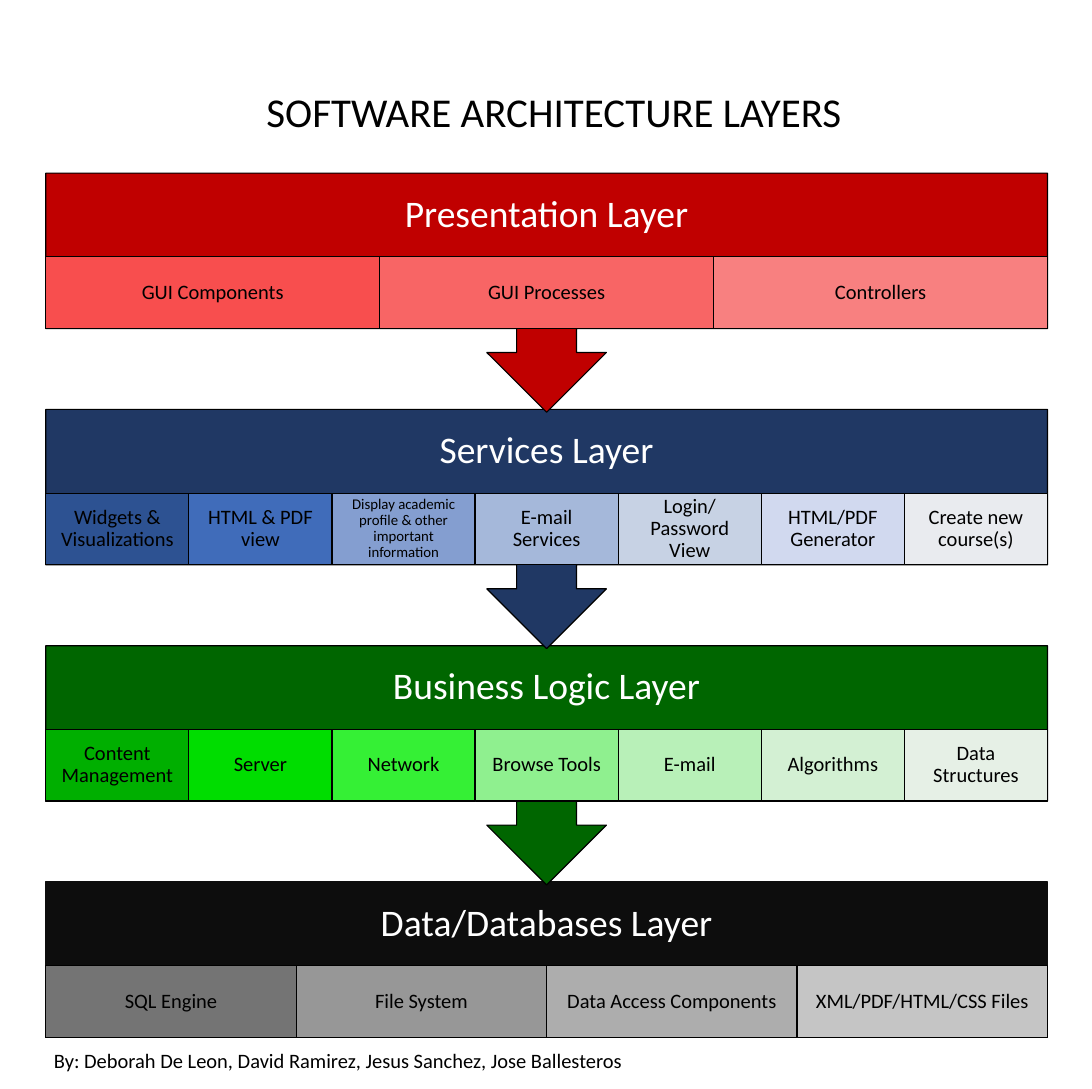
from dataclasses import dataclass

from lxml import etree
from pptx import Presentation
from pptx.dml.color import RGBColor
from pptx.enum.shapes import MSO_SHAPE
from pptx.enum.text import MSO_ANCHOR, MSO_AUTO_SIZE, PP_ALIGN
from pptx.oxml.ns import qn
from pptx.shapes.autoshape import Shape
from pptx.slide import Slide
from pptx.text.text import _Paragraph
from pptx.util import Cm, Pt

RECTANGLE = MSO_SHAPE.RECTANGLE
DOWN_CALLOUT = MSO_SHAPE.DOWN_ARROW_CALLOUT
MIDDLE, TOP = MSO_ANCHOR.MIDDLE, MSO_ANCHOR.TOP
CENTER, LEFT = PP_ALIGN.CENTER, PP_ALIGN.LEFT
FIXED_SIZE = MSO_AUTO_SIZE.NONE

FONT = "Calibri"
BLACK, WHITE = "000000", "FFFFFF"
STACK_LEFT, STACK_TOP, STACK_WIDTH = 1.42, 5.37, 31.06
LAYER_PITCH = 7.33
HEADER_HEIGHT, COMPONENT_HEIGHT = 2.6, 2.22
BLOCK_HEIGHT, CALLOUT_HEIGHT = 4.82, 7.42


@dataclass
class Component:
    label: str
    fill: str
    size: float = 18


@dataclass
class Layer:
    name: str
    fill: str
    components: list[Component]
    leads_down: bool = True
    outline: str = BLACK


LAYERS = [
    Layer("Presentation Layer", "C00000", [
        Component("GUI Components", "FF5757"),
        Component("GUI Processes", "FF7171"),
        Component("Controllers", "FF8F8F"),
    ]),
    Layer("Services Layer", "203864", [
        Component("Widgets & Visualizations", "2F5597"),
        Component("HTML & PDF view", "4472C4"),
        Component("Display academic profile & other important information", "8FAADC", 13),
        Component("E-mail Services", "B4C7E7"),
        Component("Login/Password View", "DAE3F3"),
        Component("HTML/PDF Generator", "E5EBFF"),
        Component("Create new course(s)", "FFFFFF"),
    ]),
    Layer("Business Logic Layer", "006600", [
        Component("Content Management", "00B800"),
        Component("Server", "00EA00"),
        Component("Network", "3BFF3B"),
        Component("Browse Tools", "9FFF9F"),
        Component("E-mail", "CDFFCD"),
        Component("Algorithms", "EBFFEB"),
        Component("Data Structures", "FFFFFF"),
    ]),
    Layer("Data/Databases Layer", "0D0D0D", [
        Component("SQL Engine", "808080"),
        Component("File System", "A6A6A6"),
        Component("Data Access Components", "BFBFBF"),
        Component("XML/PDF/HTML/CSS Files", "D9D9D9"),
    ], leads_down=False, outline="0D0D0D"),
]


def color(value: str) -> RGBColor:
    return RGBColor.from_string(value)


def style_paragraph(paragraph: _Paragraph, size: float, ink: str, align: PP_ALIGN) -> None:
    paragraph.alignment = align
    paragraph.font.name = FONT
    paragraph.font.size = Pt(size)
    paragraph.font.color.rgb = color(ink)


def add_block(slide: Slide, kind: MSO_SHAPE, left: float, top: float, width: float,
              height: float, fill: str, outline: str) -> Shape:
    block = slide.shapes.add_shape(kind, Cm(left), Cm(top), Cm(width), Cm(height))
    block.shadow.inherit = False
    block.fill.solid()
    block.fill.fore_color.rgb = color(fill)
    block.line.color.rgb = color(outline)
    block.line.width = Pt(1)
    return block


def label_block(block: Shape, text: str, size: float, ink: str,
                side: float, above: float, below: float) -> None:
    frame = block.text_frame
    frame.word_wrap = True
    frame.vertical_anchor = MIDDLE
    frame.margin_left = frame.margin_right = Cm(side)
    frame.margin_top, frame.margin_bottom = Cm(above), Cm(below)
    paragraph = frame.paragraphs[0]
    paragraph.text = text
    paragraph.line_spacing = 0.9
    style_paragraph(paragraph, size, ink, CENTER)


def make_translucent(block: Shape, percent: int) -> None:
    fill_color = block.element.spPr.find(qn("a:solidFill")).find(qn("a:srgbClr"))
    etree.SubElement(fill_color, qn("a:alpha"), val=str(percent * 1000))


def add_layer(slide: Slide, layer: Layer, top: float) -> None:
    kind = DOWN_CALLOUT if layer.leads_down else RECTANGLE
    height = CALLOUT_HEIGHT if layer.leads_down else BLOCK_HEIGHT
    header = add_block(slide, kind, STACK_LEFT, top, STACK_WIDTH, height,
                       layer.fill, layer.outline)
    label_block(header, layer.name, 33, WHITE, 0.66, 0.66, COMPONENT_HEIGHT + 0.66)

    width = STACK_WIDTH / len(layer.components)
    for column, component in enumerate(layer.components):
        cell = add_block(slide, RECTANGLE, STACK_LEFT + column * width,
                         top + HEADER_HEIGHT, width, COMPONENT_HEIGHT,
                         component.fill, BLACK)
        make_translucent(cell, 90)
        label_block(cell, component.label, component.size, BLACK,
                    component.size * 0.02, 0.08, 0.08)


def add_title(slide: Slide) -> None:
    title = slide.shapes.title
    title.left, title.top, title.width, title.height = Cm(7.92), Cm(2.57), Cm(18.52), Cm(1.8)
    frame = title.text_frame
    frame.text = "SOFTWARE ARCHITECTURE LAYERS"
    frame.word_wrap = False
    frame.auto_size = FIXED_SIZE
    frame.vertical_anchor = TOP
    style_paragraph(frame.paragraphs[0], 36, BLACK, CENTER)


def add_credit(slide: Slide) -> None:
    credit = slide.shapes.add_textbox(Cm(STACK_LEFT), Cm(32.37), Cm(28.58), Cm(1.03))
    frame = credit.text_frame
    frame.word_wrap = True
    frame.text = "By: Deborah De Leon, David Ramirez, Jesus Sanchez, Jose Ballesteros"
    style_paragraph(frame.paragraphs[0], 18, BLACK, LEFT)


def main() -> None:
    deck = Presentation()
    deck.slide_width, deck.slide_height = Cm(33.86), Cm(33.78)
    slide = deck.slides.add_slide(deck.slide_layouts.get_by_name("Title Only"))
    add_title(slide)
    for row, layer in reversed(list(enumerate(LAYERS))):
        add_layer(slide, layer, STACK_TOP + row * LAYER_PITCH)
    add_credit(slide)
    deck.save("out.pptx")


if __name__ == "__main__":
    main()
